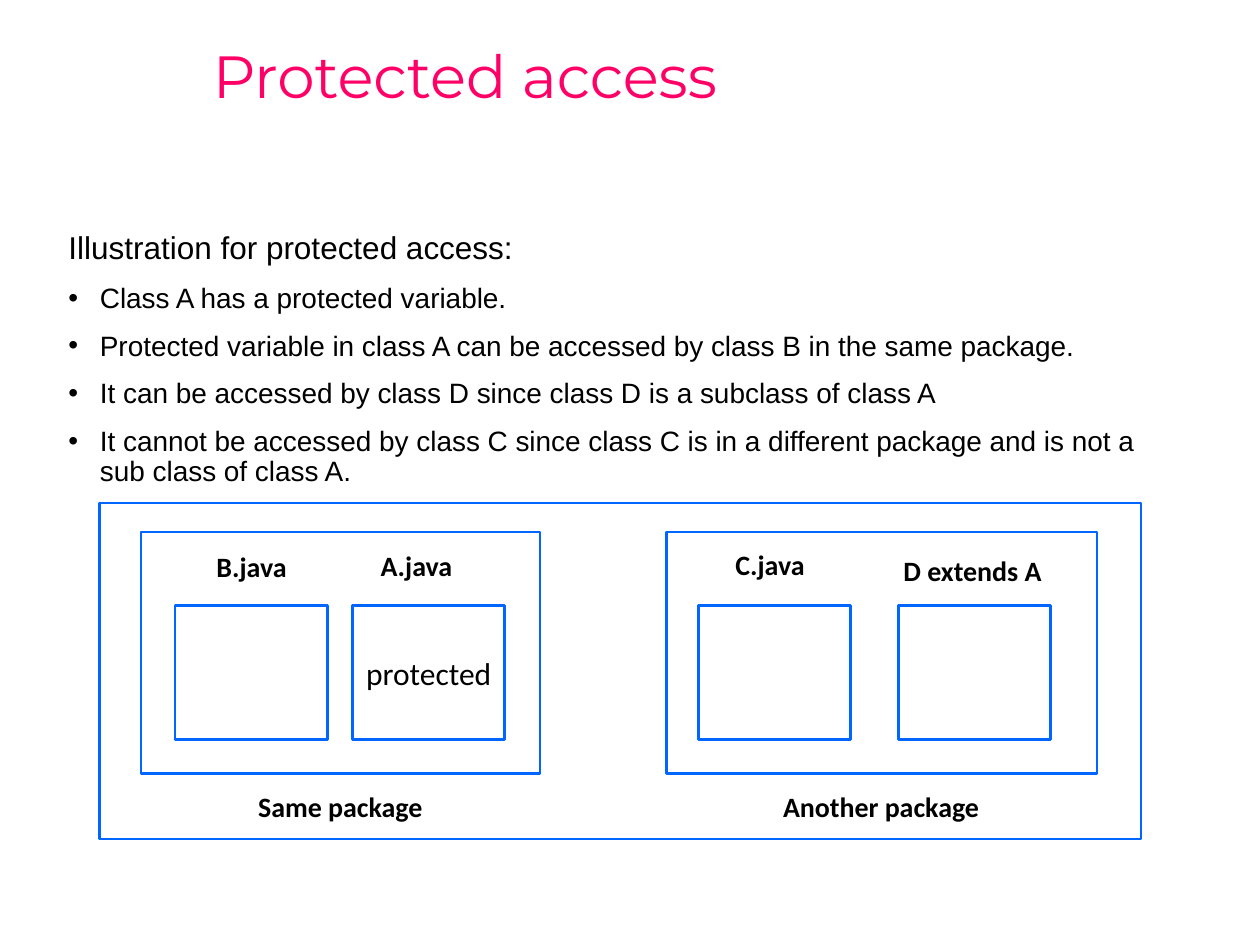
from dataclasses import dataclass

from lxml.etree import SubElement
from pptx import Presentation
from pptx.dml.color import RGBColor
from pptx.enum.shapes import MSO_SHAPE
from pptx.enum.text import MSO_ANCHOR, MSO_AUTO_SIZE, PP_ALIGN
from pptx.oxml.ns import qn
from pptx.util import Pt


@dataclass(frozen=True)
class Theme:
    """Colours, fonts and type sizes of the slide."""
    pink: RGBColor = RGBColor(0xFF, 0x00, 0x66)
    blue: RGBColor = RGBColor(0x00, 0x66, 0xFF)
    black: RGBColor = RGBColor(0, 0, 0)
    white: RGBColor = RGBColor(0xFF, 0xFF, 0xFF)
    head: str = "Montserrat"
    body: str = "Arial"
    label: str = "Calibri"
    title: int = 34
    large: int = 18
    small: int = 16


THEME = Theme()
INTRO = "Illustration for protected access:"
POINTS = [
    "Class A has a protected variable.",
    "Protected variable in class A can be accessed by class B in the same package.",
    "It can be accessed by class D since class D is a subclass of class A",
    "It cannot be accessed by class C since class C is in a different package "
    "and is not a sub class of class A.",
]
FRAMES = [(57, 287.5, 595, 192), (80.5, 304, 228, 138), (381, 304, 246, 138)]
CLASSES = [(100, ""), (201.5, "protected"), (399, ""), (513.5, "")]
LABELS = [
    ("Same package", 105, 447, 179, 27),
    ("Another package", 414, 447, 179, 27),
    ("A.java", 208, 308.5, 60, 29.5),
    ("B.java", 111, 309, 65.5, 29.5),
    ("C.java", 410, 307, 60, 31),
    ("D extends A", 506, 310.5, 99.5, 31),
]


def style(para, font, size, color, bold=False):
    """Format the runs of a paragraph."""
    for run in para.runs:
        run.font.name = font
        run.font.size = Pt(size)
        run.font.color.rgb = color
        run.font.bold = bold


def add_title(slide, text):
    """Place and format the title."""
    title = slide.shapes.title
    title.left, title.top, title.width, title.height = map(Pt, (114.5, 1, 605.5, 89))
    frame = title.text_frame
    frame.text = text
    frame.auto_size = MSO_AUTO_SIZE.NONE
    frame.vertical_anchor = MSO_ANCHOR.MIDDLE
    para = frame.paragraphs[0]
    para.alignment = PP_ALIGN.LEFT
    para.line_spacing = 0.9
    style(para, THEME.head, THEME.title, THEME.pink)


def add_bullet(para):
    """Give a paragraph a hanging bullet."""
    props = para._p.get_or_add_pPr()
    props.set("marL", str(Pt(18)))
    props.set("indent", str(Pt(-18)))
    SubElement(props, qn("a:buFont"), typeface=THEME.body)
    SubElement(props, qn("a:buChar"), char="•")


def add_body(slide, intro, points):
    """Add the intro line and its bullet points."""
    frame = slide.shapes.add_textbox(*map(Pt, (32, 129.5, 652, 345.5))).text_frame
    frame.word_wrap = True
    frame.text = "\n".join([intro, *points])
    first, *rest = frame.paragraphs
    first.line_spacing = 0.9
    style(first, THEME.body, THEME.large, THEME.black)
    for para in rest:
        add_bullet(para)
        para.line_spacing = 0.9
        para.space_before = Pt(10)
        style(para, THEME.body, THEME.small, THEME.black)


def add_box(slide, area, text="", size=THEME.large, bold=False, line=True):
    """Add a white box with centred text and an optional outline."""
    box = slide.shapes.add_shape(MSO_SHAPE.RECTANGLE, *map(Pt, area))
    box.shadow.inherit = False
    box.fill.solid()
    box.fill.fore_color.rgb = THEME.white
    if line:
        box.line.color.rgb = THEME.blue
        box.line.width = Pt(1.5)
    else:
        box.line.fill.background()
    if text:
        frame = box.text_frame
        frame.margin_left = frame.margin_right = 0
        frame.vertical_anchor = MSO_ANCHOR.MIDDLE
        frame.text = text
        para = frame.paragraphs[0]
        para.alignment = PP_ALIGN.CENTER
        style(para, THEME.label, size, THEME.black, bold)


def main():
    """Build the slide and save it."""
    deck = Presentation()
    deck.slide_width, deck.slide_height = Pt(720), Pt(540)
    slide = deck.slides.add_slide(deck.slide_layouts[5])
    add_title(slide, "Protected access")
    add_body(slide, INTRO, POINTS)
    for area in FRAMES:
        add_box(slide, area)
    for left, text in CLASSES:
        add_box(slide, (left, 346, 87, 76.5), text)
    for text, *area in LABELS:
        add_box(slide, area, text, THEME.small, bold=True, line=False)
    deck.save("out.pptx")


if __name__ == "__main__":
    main()
